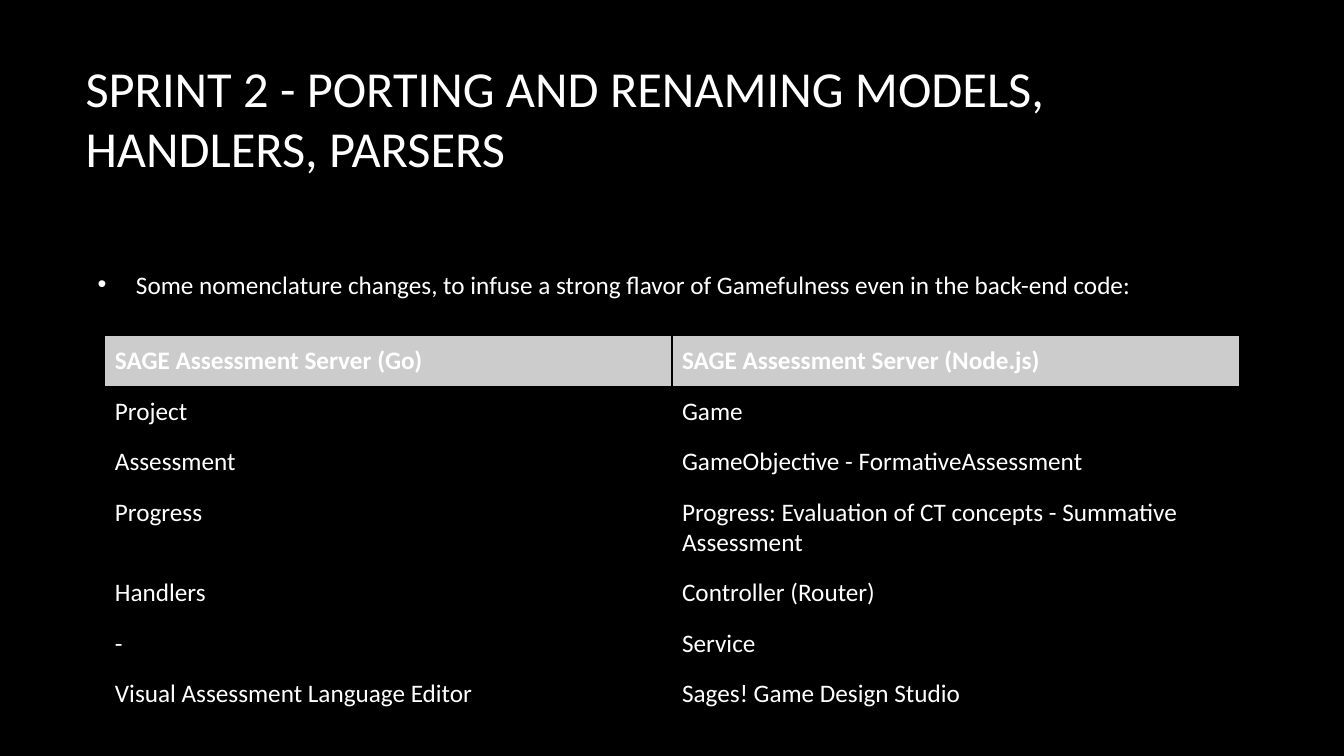
import dataclasses

import lxml.etree
import pptx
import pptx.dml.color
import pptx.enum.text
import pptx.oxml.ns
import pptx.util

Inches = pptx.util.Inches
qn = pptx.oxml.ns.qn
SubElement = lxml.etree.SubElement


@dataclasses.dataclass
class Theme:
    """Fonts, sizes and colours of the deck."""
    face: str = "Calibri"
    head: int = 36
    body: int = 18
    back: str = "000000"
    ink: str = "FFFFFF"
    band: str = "CCCCCC"


class Deck:
    """Holds the theme and the current slide."""

    def __init__(self, theme):
        self.theme = theme
        self.show = pptx.Presentation()
        self.show.slide_width = Inches(13.33)
        self.show.slide_height = Inches(7.5)
        self.slide = self.show.slides.add_slide(self.show.slide_layouts[6])
        self.paint(self.slide.background.fill, theme.back)

    def paint(self, fill, color):
        fill.solid()
        fill.fore_color.rgb = pptx.dml.color.RGBColor.from_string(color)

    def style(self, par, size, bold=False):
        for run in par.runs:
            run.font.name = self.theme.face
            run.font.size = pptx.util.Pt(size)
            run.font.bold = bold
            self.paint(run.font.fill, self.theme.ink)

    def pad(self, item):
        for side in ("left", "top", "right", "bottom"):
            setattr(item, f"margin_{side}", Inches(0.1))

    def text(self, words, size, left, top, width, height):
        box = self.slide.shapes.add_textbox(*map(Inches, (left, top, width, height)))
        frame = box.text_frame
        frame.word_wrap = True
        frame.vertical_anchor = pptx.enum.text.MSO_ANCHOR.MIDDLE
        self.pad(frame)
        frame.text = words
        par = frame.paragraphs[0]
        self.style(par, size)
        return par

    def bullet(self, words, *place):
        par = self.text(words, self.theme.body, *place)
        props = par._p.get_or_add_pPr()
        props.set("marL", str(Inches(0.5)))
        props.set("indent", str(Inches(-0.38)))
        color = SubElement(props, qn("a:buClr"))
        SubElement(color, qn("a:srgbClr"), val=self.theme.ink)
        SubElement(props, qn("a:buFont"), typeface="Arial")
        SubElement(props, qn("a:buChar"), char="•")

    def edge(self, cell):
        props = cell._tc.get_or_add_tcPr()
        for side in ("lnL", "lnR", "lnT", "lnB"):
            line = SubElement(props, qn(f"a:{side}"), w=str(pptx.util.Pt(1)))
            fill = SubElement(line, qn("a:solidFill"))
            SubElement(fill, qn("a:srgbClr"), val=self.theme.back)

    def table(self, rows, left, top, width, height):
        frame = self.slide.shapes.add_table(
            len(rows), len(rows[0]), *map(Inches, (left, top, width, height)))
        grid = frame.table
        for r, row in enumerate(rows):
            for c, words in enumerate(row):
                cell = grid.cell(r, c)
                self.pad(cell)
                self.edge(cell)
                self.paint(cell.fill, self.theme.back if r else self.theme.band)
                cell.text_frame.text = words
                self.style(cell.text_frame.paragraphs[0], self.theme.body, r == 0)


def main():
    theme = Theme()
    deck = Deck(theme)
    deck.text("SPRINT 2 - PORTING AND RENAMING MODELS, HANDLERS, PARSERS",
              theme.head, 0.75, 0.37, 11.08, 1.59)
    deck.bullet("Some nomenclature changes, to infuse a strong flavor of "
                "Gamefulness even in the back-end code:", 0.75, 2.34, 11.08, 0.96)
    names = [
        ("SAGE Assessment Server (Go)", "SAGE Assessment Server (Node.js)"),
        ("Project", "Game"),
        ("Assessment", "GameObjective - FormativeAssessment"),
        ("Progress", "Progress: Evaluation of CT concepts - Summative Assessment"),
        ("Handlers", "Controller (Router)"),
        ("-", "Service"),
        ("Visual Assessment Language Editor", "Sages! Game Design Studio"),
    ]
    deck.table(names, 1.04, 3.33, 11.25, 2.94)
    deck.show.save("out.pptx")


if __name__ == "__main__":
    main()
